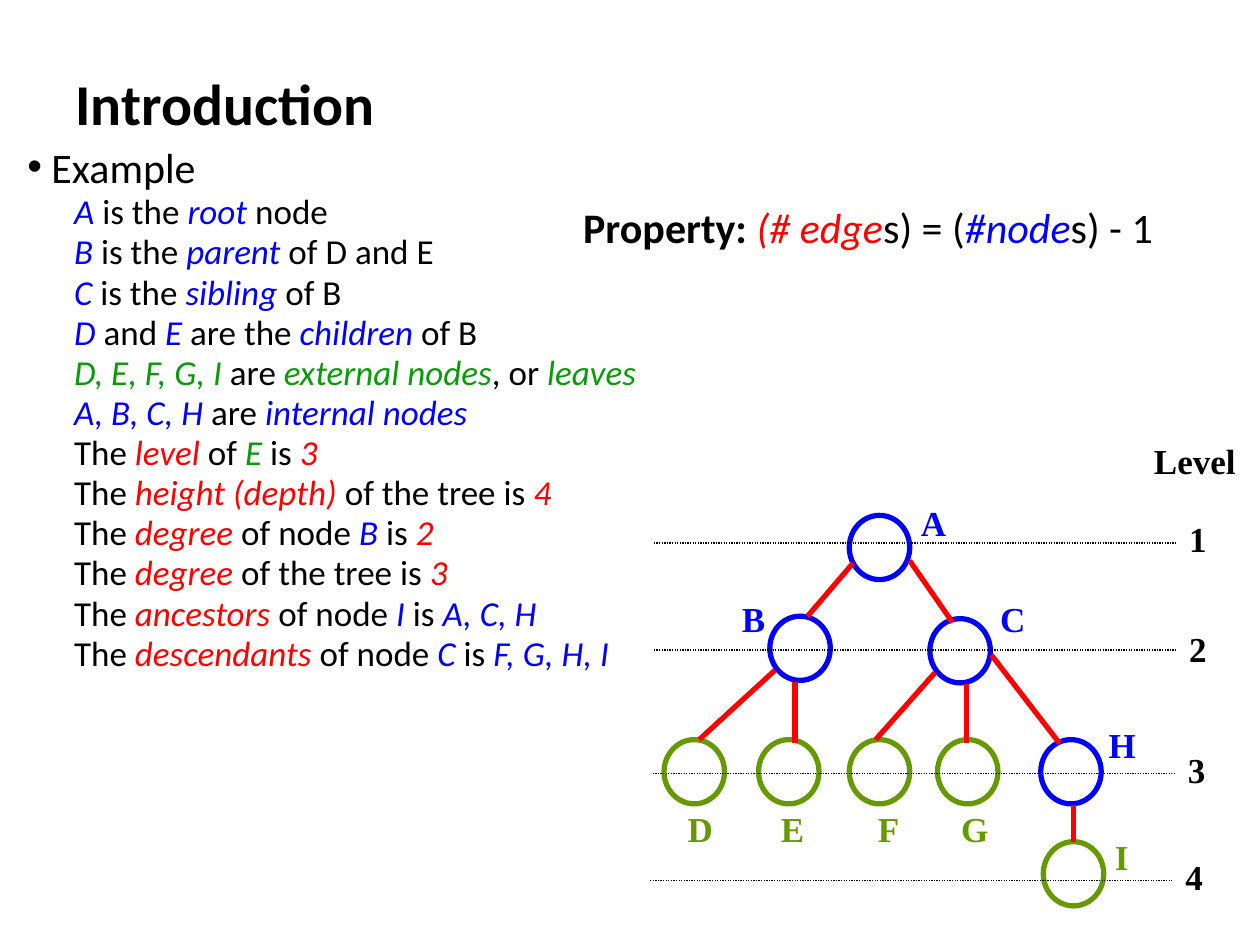
from lxml import etree
from pptx import Presentation
from pptx.dml.color import RGBColor
from pptx.enum.dml import MSO_LINE
from pptx.enum.shapes import MSO_CONNECTOR, MSO_SHAPE
from pptx.enum.text import MSO_ANCHOR, PP_ALIGN
from pptx.oxml.ns import qn
from pptx.util import Inches, Pt

OVAL = MSO_SHAPE.OVAL
LINE = MSO_CONNECTOR.STRAIGHT
DOT = MSO_LINE.ROUND_DOT
LEFT = PP_ALIGN.LEFT
MID = MSO_ANCHOR.MIDDLE
TOP = MSO_ANCHOR.TOP

COLORS = {"black": "000000", "blue": "0000FF", "red": "FF0000",
          "green": "0A9A0A", "olive": "669900"}


def write(para, text, size=20, font="Calibri", tone="black", bold=False, italic=False):
    run = para.add_run()
    run.text = text
    run.font.size = Pt(size)
    run.font.name = font
    run.font.bold = bold
    run.font.italic = italic
    run.font.color.rgb = RGBColor.from_string(COLORS[tone])


def join(group, start, end, tone, width):
    line = group.shapes.add_connector(LINE, *[Inches(v) for v in start + end])
    line.line.color.rgb = RGBColor.from_string(COLORS[tone])
    line.line.width = Pt(width)
    etree.SubElement(line._element.spPr, qn("a:effectLst"))
    return line


prs = Presentation()
prs.slide_width, prs.slide_height = Inches(10), Inches(7.5)
slide = prs.slides.add_slide(prs.slide_layouts[5])

# Title
title = slide.shapes.title
title.left, title.top = Inches(0.5), Inches(0.22)
title.width, title.height = Inches(9), Inches(1.25)
title.text_frame.vertical_anchor = MID
para = title.text_frame.paragraphs[0]
para.alignment = LEFT
para.line_spacing = 0.9
write(para, "Introduction", size=33, bold=True)

# Example list: coloured words are italic
facts = [
    [("A ", "blue"), ("is the ", "black"), ("root ", "blue"), ("node", "black")],
    [("B ", "blue"), ("is the ", "black"), ("parent ", "blue"), ("of D and E", "black")],
    [("C ", "blue"), ("is the ", "black"), ("sibling ", "blue"), ("of B", "black")],
    [("D ", "blue"), ("and ", "black"), ("E ", "blue"), ("are the ", "black"),
     ("children ", "blue"), ("of B", "black")],
    [("D, E, F, G, I", "green"), (" are ", "black"), ("external nodes", "green"),
     (", or ", "black"), ("leaves", "green")],
    [("A, B, C, H ", "blue"), ("are ", "black"), ("internal nodes", "blue")],
    [("The ", "black"), ("level", "red"), (" of ", "black"), ("E ", "green"),
     ("is ", "black"), ("3", "red")],
    [("The ", "black"), ("height (depth) ", "red"), ("of the tree is ", "black"), ("4", "red")],
    [("The ", "black"), ("degree ", "red"), ("of node ", "black"), ("B ", "blue"),
     ("is ", "black"), ("2", "red")],
    [("The ", "black"), ("degree ", "red"), ("of the tree is ", "black"), ("3", "red")],
    [("The ", "black"), ("ancestors ", "red"), ("of node ", "black"), ("I ", "blue"),
     ("is", "black"), (" A, C, H", "blue")],
    [("The ", "black"), ("descendants ", "red"), ("of node ", "black"), ("C ", "blue"),
     ("is ", "black"), ("F, G, H, I", "blue")],
]
body = slide.shapes.add_textbox(Inches(0.12), Inches(1.15), Inches(9), Inches(4.49))
frame = body.text_frame
frame.word_wrap = True
frame.vertical_anchor = TOP
para = frame.paragraphs[0]
para.line_spacing = 0.8
props = para._p.get_or_add_pPr()
props.set("marL", str(Inches(0.19)))
props.set("indent", str(-Inches(0.19)))
etree.SubElement(props, qn("a:buFont"), typeface="Arial")
etree.SubElement(props, qn("a:buChar"), char="•")
write(para, "Example", size=24)

for fact in facts:
    para = frame.add_paragraph()
    para.level = 1
    para.line_spacing = 0.8
    para.space_before = Pt(3.7)
    props = para._p.get_or_add_pPr()
    props.set("marL", str(Inches(0.56)))
    props.set("indent", str(-Inches(0.19)))
    etree.SubElement(props, qn("a:buNone"))
    for text, tone in fact:
        write(para, text, tone=tone, italic=tone != "black")

# Tree nodes: colour, circle corner, label corner
tree = slide.shapes.add_group_shape()
nodes = {
    "A": ("blue", 6.74, 4.09, 7.21, 3.93),
    "B": ("blue", 6.11, 4.89, 5.79, 4.69),
    "C": ("blue", 7.38, 4.91, 7.84, 4.69),
    "D": ("olive", 5.27, 5.87, 5.36, 6.36),
    "E": ("olive", 6.02, 5.87, 6.1, 6.36),
    "F": ("olive", 6.74, 5.87, 6.87, 6.36),
    "G": ("olive", 7.44, 5.87, 7.53, 6.36),
    "H": ("blue", 8.26, 5.87, 8.7, 5.69),
    "I": ("olive", 8.28, 6.68, 8.75, 6.58),
}
labels = [("Level", "black", 9.06, 3.44, 0.85)]
for name, (tone, x, y, left, top) in nodes.items():
    node = tree.shapes.add_shape(OVAL, Inches(x), Inches(y), Inches(0.48), Inches(0.51))
    node.shadow.inherit = False
    node.fill.background()
    node.line.color.rgb = RGBColor.from_string(COLORS[tone])
    node.line.width = Pt(3)
    labels.append((name, tone, left, top, 0.4))

# Tree edges
edges = [
    ((6.77, 4.47), (6.41, 4.89)), ((7.22, 4.45), (7.56, 4.94)),
    ((6.15, 5.32), (5.55, 5.87)), ((6.31, 5.41), (6.31, 5.9)),
    ((7.42, 5.34), (6.95, 5.87)), ((7.67, 5.43), (7.67, 5.9)),
    ((7.87, 5.2), (8.41, 5.9)), ((8.52, 6.39), (8.52, 6.68)),
]
for start, end in edges:
    join(tree, start, end, "red", 3)

# Level lines: left end, height, top of the number
levels = [(5.19, 4.31, 4.06), (5.19, 5.16, 4.93), (5.18, 6.14, 5.89), (5.16, 6.99, 6.74)]
for num, (x, y, top) in enumerate(levels, 1):
    join(tree, (x, y), (x + 4.15, y), "black", 0.75).line.dash_style = DOT
    labels.append((str(num), "black", x + 4.15, top, 0.34))

# Node names and level numbers
for text, tone, x, y, width in labels:
    box = tree.shapes.add_textbox(Inches(x), Inches(y), Inches(width), Inches(0.44))
    box.text_frame.word_wrap = False
    write(box.text_frame.paragraphs[0], text, font="Times New Roman", tone=tone, bold=True)

# Property
box = slide.shapes.add_textbox(Inches(4.53), Inches(1.55), Inches(4.72), Inches(0.5))
box.text_frame.word_wrap = False
para = box.text_frame.paragraphs[0]
write(para, "Property: ", size=24, bold=True)
for text, tone in [("(# edge", "red"), ("s) = (", "black"), ("#node", "blue"), ("s) - 1", "black")]:
    write(para, text, size=24, tone=tone, italic=tone != "black")

prs.save("out.pptx")
